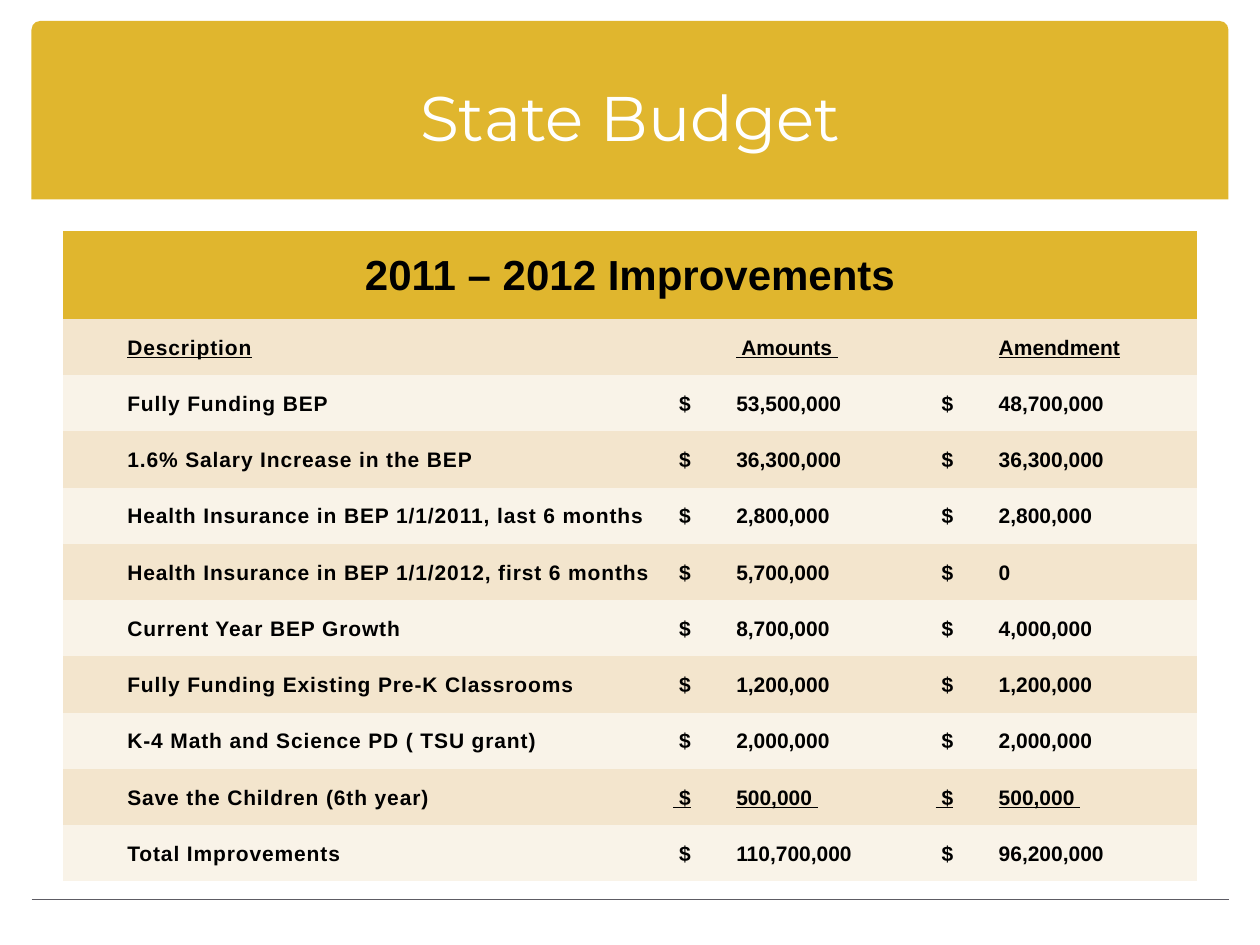
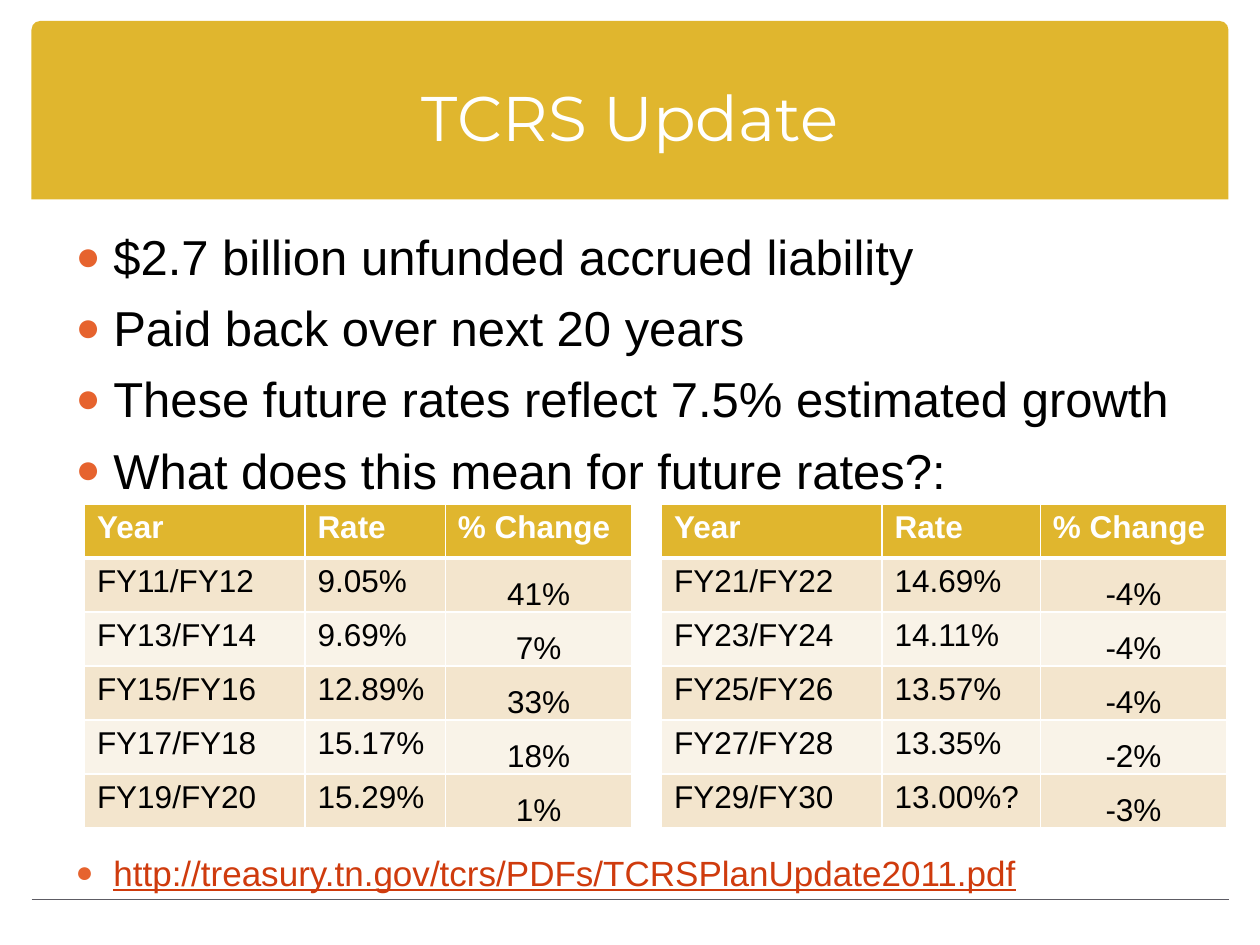
from dataclasses import dataclass
from typing import Optional

import lxml.etree
import pptx
import pptx.dml.color
import pptx.enum.shapes
import pptx.enum.text
import pptx.oxml.ns
import pptx.util

Pt = pptx.util.Pt
Align = pptx.enum.text.PP_ALIGN
Anchor = pptx.enum.text.MSO_ANCHOR
qn = pptx.oxml.ns.qn


@dataclass(frozen=True)
class Theme:
    gold: str = "E0B62E"
    sand: str = "F3E5CD"
    cream: str = "F9F3E8"
    white: str = "FFFFFF"
    black: str = "000000"
    rule: str = "5D5C64"
    bullet: str = "E6632E"
    link: str = "CF3B0D"
    title_font: str = "Montserrat"
    text_font: str = "Arial"
    title_size: float = 36
    heading_size: float = 24
    list_size: float = 28
    link_size: float = 20
    rate_size: float = 18
    budget_size: float = 12

    def stripe(self, row: int) -> str:
        return self.sand if row % 2 else self.cream


THEME = Theme()
NO_GRID_STYLE = "{2D5ABB26-0587-4C30-8999-92F81FD0307C}"
TIGHT = (0.75, 0.75, 0.75, 0)
ROOMY = (7.2, 3.6, 7.2, 3.6)


@dataclass(frozen=True)
class Box:
    left: float
    top: float
    width: float
    height: float

    def lengths(self) -> tuple:
        return Pt(self.left), Pt(self.top), Pt(self.width), Pt(self.height)


@dataclass(frozen=True)
class BudgetLine:
    description: str
    amount: str
    amendment: str
    underline: bool = False


@dataclass(frozen=True)
class RateTable:
    left: float
    rate_width: float
    rates: tuple


@dataclass(frozen=True)
class Bullet:
    text: str
    size: float = THEME.list_size
    color: str = THEME.black
    underline: bool = False
    space_before: float = 7


TITLE_BOX = Box(24, 21.6, 672, 90)
BAND_BOX = Box(18, 12, 684, 102)
RULE_TOP = 514

BUDGET_BOX = Box(36, 132, 648, 371.75)
BUDGET_COLUMNS = (348, 150, 150)
BUDGET_HEADING_HEIGHT = 50.25
BUDGET_ROW_HEIGHT = 32.15
BUDGET_HEADING = "2011 – 2012 Improvements"
BUDGET_LABELS = ("Description", " Amounts ", "Amendment")
BUDGET_LINES = (
    BudgetLine("Fully Funding BEP", "53,500,000", "48,700,000"),
    BudgetLine("1.6% Salary Increase in the BEP", "36,300,000", "36,300,000"),
    BudgetLine("Health Insurance in BEP 1/1/2011, last 6 months", "2,800,000", "2,800,000"),
    BudgetLine("Health Insurance in BEP 1/1/2012, first 6 months", "5,700,000", "0"),
    BudgetLine("Current Year BEP Growth", "8,700,000", "4,000,000"),
    BudgetLine("Fully Funding Existing Pre-K Classrooms", "1,200,000", "1,200,000"),
    BudgetLine("K-4 Math and Science PD ( TSU grant)", "2,000,000", "2,000,000"),
    BudgetLine("Save the Children (6th year)", "500,000 ", "500,000 ", underline=True),
    BudgetLine("Total Improvements", "110,700,000", "96,200,000"),
)

LIST_BOX = Box(36, 126, 648, 396)
BULLETS = (
    Bullet("$2.7 billion unfunded accrued liability"),
    Bullet("Paid back over next 20 years"),
    Bullet("These future rates reflect 7.5% estimated growth"),
    Bullet("What does this mean for future rates?:"),
    Bullet("http://treasury.tn.gov/tcrs/PDFs/TCRSPlanUpdate2011.pdf",
           THEME.link_size, THEME.link, True, 201.5),
)

RATE_TOP = 288
RATE_ROW_HEIGHT = 30.85
YEAR_WIDTH = 126
CHANGE_WIDTH = 106.5
RATE_LABELS = ("Year", "Rate", "% Change")
RATE_TABLES = (
    RateTable(48.25, 80.25, (
        ("FY11/FY12", "9.05%", "41%"),
        ("FY13/FY14", "9.69%", "7%"),
        ("FY15/FY16", "12.89%", "33%"),
        ("FY17/FY18", "15.17%", "18%"),
        ("FY19/FY20", "15.29%", "1%"),
    )),
    RateTable(378, 90.5, (
        ("FY21/FY22", "14.69%", "-4%"),
        ("FY23/FY24", "14.11%", "-4%"),
        ("FY25/FY26", "13.57%", "-4%"),
        ("FY27/FY28", "13.35%", "-2%"),
        ("FY29/FY30", "13.00%?", "-3%"),
    )),
)


def rgb(color: str) -> pptx.dml.color.RGBColor:
    return pptx.dml.color.RGBColor.from_string(color)


def add_child(parent, tag: str, **attributes):
    return lxml.etree.SubElement(parent, qn(tag), attributes)


def write_text(paragraph, text: str, *, size: float, color: str = THEME.black,
               font: str = THEME.text_font, bold: bool = False, underline: bool = False,
               align=Align.LEFT, spacing: float = 0, indent: float = 0, hanging: float = 0,
               space_before: float = 0, tab: Optional[float] = None) -> None:
    paragraph.alignment = align
    paragraph.space_before = Pt(space_before)
    properties = paragraph._p.get_or_add_pPr()
    properties.set("marL", str(Pt(indent)))
    properties.set("indent", str(-Pt(hanging)))
    if tab is not None:
        stops = add_child(properties, "a:tabLst")
        add_child(stops, "a:tab", pos=str(Pt(tab)), algn="r")
    run = paragraph.add_run()
    run.text = text
    run.font.name = font
    run.font.size = Pt(size)
    run.font.bold = bold
    run.font.underline = underline
    run.font.color.rgb = rgb(color)
    if spacing:
        run._r.get_or_add_rPr().set("spc", str(round(spacing * 100)))


def add_bullet_mark(paragraph) -> None:
    properties = paragraph._p.get_or_add_pPr()
    color = add_child(properties, "a:buClr")
    add_child(color, "a:srgbClr", val=THEME.bullet)
    add_child(properties, "a:buSzPct", val="85000")
    add_child(properties, "a:buFont", typeface=THEME.text_font)
    add_child(properties, "a:buChar", char="●")


def place(placeholder, box: Box) -> None:
    placeholder.left, placeholder.top, placeholder.width, placeholder.height = box.lengths()


def move_to_master(master, shape, layer: int) -> None:
    tree = master.shapes._spTree
    shape._element.xpath(".//p:cNvPr")[0].set("id", str(100 + layer))
    tree.insert(2 + layer, shape._element)


def furnish_master(master, slide) -> None:
    band = slide.shapes.add_shape(
        pptx.enum.shapes.MSO_SHAPE.ROUND_2_SAME_RECTANGLE, *BAND_BOX.lengths())
    band.adjustments[0] = 0.05
    band.adjustments[1] = 0
    band.shadow.inherit = False
    band.fill.solid()
    band.fill.fore_color.rgb = rgb(THEME.gold)
    band.line.fill.background()
    rule = slide.shapes.add_connector(
        pptx.enum.shapes.MSO_CONNECTOR.STRAIGHT,
        Pt(BAND_BOX.left), Pt(RULE_TOP), Pt(BAND_BOX.left + BAND_BOX.width), Pt(RULE_TOP))
    rule.line.color.rgb = rgb(THEME.rule)
    rule.line.width = Pt(1)
    add_child(rule._element.spPr, "a:effectLst")
    for layer, part in enumerate((band, rule)):
        move_to_master(master, part, layer)


def add_titled_slide(deck, layout: int, title: str):
    slide = deck.slides.add_slide(deck.slide_layouts[layout])
    heading = slide.shapes.title
    place(heading, TITLE_BOX)
    frame = heading.text_frame
    frame.auto_size = pptx.enum.text.MSO_AUTO_SIZE.NONE
    frame.vertical_anchor = Anchor.MIDDLE
    write_text(frame.paragraphs[0], title, size=THEME.title_size, color=THEME.white,
               font=THEME.title_font, align=Align.CENTER)
    return slide


def add_plain_table(slide, box: Box, columns: tuple, heights: list):
    table = slide.shapes.add_table(len(heights), len(columns), *box.lengths()).table
    table.first_row = table.horz_banding = False
    table._tbl.tblPr.find(qn("a:tableStyleId")).text = NO_GRID_STYLE
    for column, width in zip(table.columns, columns):
        column.width = Pt(width)
    for row, height in zip(table.rows, heights):
        row.height = Pt(height)
    return table


def fill_cell(cell, text: str, fill: str, *, insets: tuple = TIGHT,
              anchor=Anchor.MIDDLE, **text_format) -> None:
    cell.margin_left, cell.margin_top, cell.margin_right, cell.margin_bottom = map(Pt, insets)
    cell.vertical_anchor = anchor
    cell.fill.solid()
    cell.fill.fore_color.rgb = rgb(fill)
    write_text(cell.text_frame.paragraphs[0], text, **text_format)


def add_borders(cell, bottom: float, top: float) -> None:
    properties = cell._tc.get_or_add_tcPr()
    widths = {"a:lnL": 1, "a:lnR": 1, "a:lnT": top, "a:lnB": bottom}
    for position, (side, width) in enumerate(widths.items()):
        line = add_child(properties, side, w=str(Pt(width)))
        add_child(add_child(line, "a:solidFill"), "a:srgbClr", val=THEME.white)
        properties.insert(position, line)


def add_budget_table(slide) -> None:
    heights = [BUDGET_HEADING_HEIGHT] + [BUDGET_ROW_HEIGHT] * (len(BUDGET_LINES) + 1)
    table = add_plain_table(slide, BUDGET_BOX, BUDGET_COLUMNS, heights)
    table.cell(0, 0).merge(table.cell(0, 2))
    fill_cell(table.cell(0, 0), BUDGET_HEADING, THEME.gold, size=THEME.heading_size,
              bold=True, align=Align.CENTER)
    entry = dict(size=THEME.budget_size, bold=True)
    for column, label in enumerate(BUDGET_LABELS):
        fill_cell(table.cell(1, column), label, THEME.stripe(1), indent=36, underline=True,
                  spacing=0 if column else 0.5, **entry)
    for row, line in enumerate(BUDGET_LINES, start=2):
        fill = THEME.stripe(row)
        fill_cell(table.cell(row, 0), line.description, fill, indent=36, spacing=0.5, **entry)
        for column, dollars in enumerate((line.amount, line.amendment), start=1):
            fill_cell(table.cell(row, column), f" $\t{dollars}", fill,
                      underline=line.underline, tab=116.5 if line.underline else 110, **entry)


def add_rate_table(slide, content: RateTable) -> None:
    columns = (YEAR_WIDTH, content.rate_width, CHANGE_WIDTH)
    heights = [RATE_ROW_HEIGHT] * (len(content.rates) + 1)
    box = Box(content.left, RATE_TOP, sum(columns), sum(heights))
    table = add_plain_table(slide, box, columns, heights)
    for row, entries in enumerate((RATE_LABELS, *content.rates)):
        header = row == 0
        for column, text in enumerate(entries):
            change = column == 2 and not header
            cell = table.cell(row, column)
            fill_cell(cell, text, THEME.gold if header else THEME.stripe(row),
                      insets=TIGHT if change else ROOMY,
                      anchor=Anchor.BOTTOM if change else Anchor.TOP,
                      align=Align.CENTER if change else Align.LEFT,
                      size=THEME.rate_size, bold=header,
                      color=THEME.white if header else THEME.black)
            add_borders(cell, bottom=3 if header else 1, top=3 if row == 1 else 1)


def add_bullets(slide) -> None:
    body = slide.placeholders[1]
    place(body, LIST_BOX)
    frame = body.text_frame
    frame.auto_size = pptx.enum.text.MSO_AUTO_SIZE.NONE
    for number, bullet in enumerate(BULLETS):
        paragraph = frame.add_paragraph() if number else frame.paragraphs[0]
        write_text(paragraph, bullet.text, size=bullet.size, color=bullet.color,
                   underline=bullet.underline, space_before=bullet.space_before,
                   indent=21.6, hanging=21.6)
        add_bullet_mark(paragraph)


def main() -> None:
    deck = pptx.Presentation()
    deck.slide_width, deck.slide_height = Pt(720), Pt(540)
    budget = add_titled_slide(deck, 5, "State Budget")
    furnish_master(deck.slide_master, budget)
    add_budget_table(budget)
    retirement = add_titled_slide(deck, 1, "TCRS Update")
    add_bullets(retirement)
    for content in RATE_TABLES:
        add_rate_table(retirement, content)
    deck.save("out.pptx")


if __name__ == "__main__":
    main()
